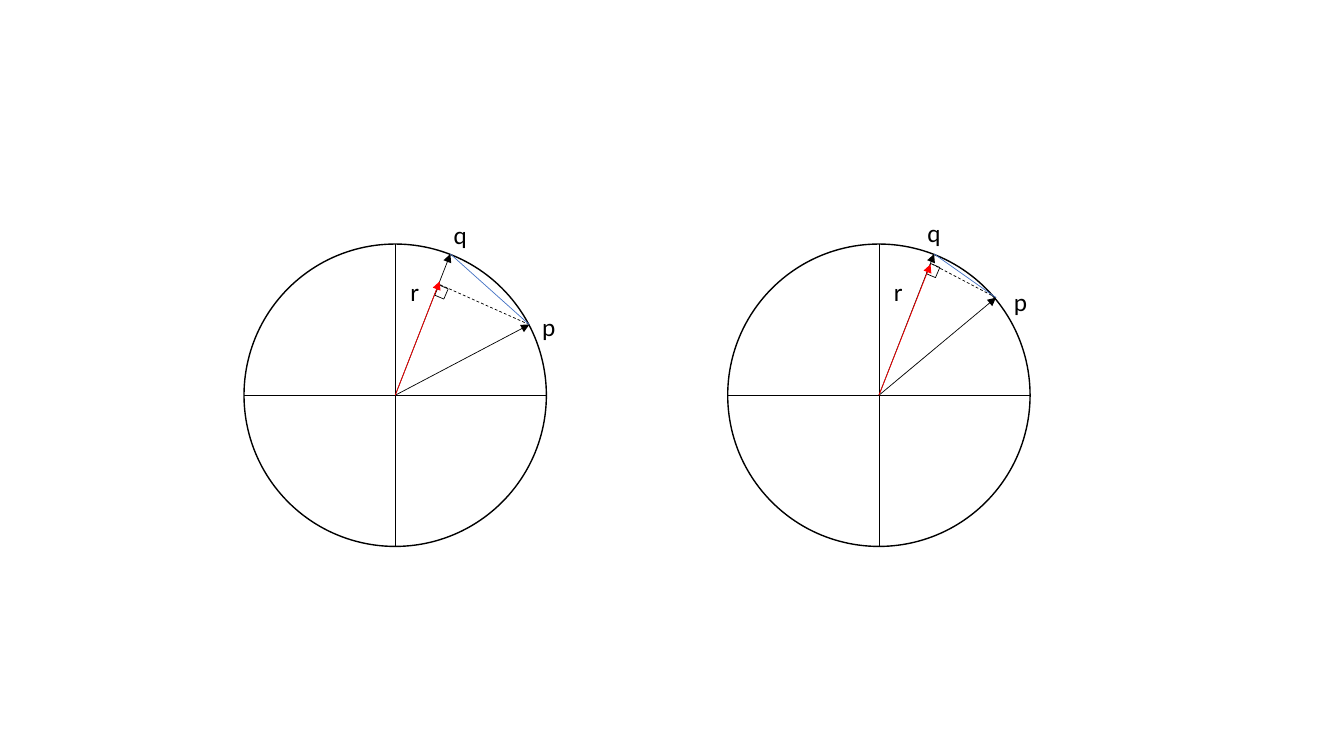
from pptx import Presentation
from pptx.dml.color import RGBColor
from pptx.enum.dml import MSO_LINE
from pptx.enum.shapes import MSO_CONNECTOR, MSO_SHAPE
from pptx.enum.text import MSO_AUTO_SIZE
from pptx.oxml.ns import qn
from pptx.util import Cm, Pt
from lxml.etree import SubElement

COLORS = {"ink": "000000", "red": "FF0000", "blue": "4472C4"}
RADIUS = 3.81
MID_Y = 9.96

# Points and label corners are offsets in cm from the centre of each circle.
CIRCLES = [
    {"x": 9.96, "q": (1.39, -3.56), "p": (3.38, -1.78), "r": (1.12, -2.87),
     "foot": (1.12, -2.79), "mark": (1.04, -2.74),
     "labels": {"q": (1.22, -4.55), "p": (3.45, -2.24), "r": (0.13, -3.12)}},
    {"x": 22.15, "q": (1.39, -3.56), "p": (2.95, -2.46), "r": (1.3, -3.3),
     "foot": (1.35, -3.3), "mark": (1.24, -3.28),
     "labels": {"q": (0.97, -4.6), "p": (3.15, -2.87), "r": (0.13, -3.12)}},
]
WIDTHS = {"q": 0.86, "p": 0.86, "r": 0.74}

deck = Presentation()
deck.slide_width, deck.slide_height = Cm(33.87), Cm(19.05)
slide = deck.slides.add_slide(deck.slide_layouts[6])
shapes = slide.shapes


def outline(kind, left, top, width, height, weight):
    """Add an unfilled shape with a black border."""
    shape = shapes.add_shape(kind, Cm(left), Cm(top), Cm(width), Cm(height))
    shape.shadow.inherit = False
    shape.fill.background()
    shape.line.color.rgb = RGBColor.from_string(COLORS["ink"])
    shape.line.width = Pt(weight)
    return shape


def segment(mid, start, end, color="ink", dash=None, arrow=False):
    """Add a line between two offsets from the circle's centre."""
    ends = [Cm(round(base + part, 2)) for point in (start, end)
            for base, part in zip((mid, MID_Y), point)]
    wire = shapes.add_connector(MSO_CONNECTOR.STRAIGHT, *ends)
    form = {"width": Pt(0.5), "dash_style": dash}
    for name, value in form.items():
        setattr(wire.line, name, value)
    wire.line.color.rgb = RGBColor.from_string(COLORS[color])
    props = wire._element.spPr
    if arrow:
        SubElement(props.find(qn("a:ln")), qn("a:tailEnd"), type="triangle")
    SubElement(props, qn("a:effectLst"))


for circle in CIRCLES:
    mid, q, p = circle["x"], circle["q"], circle["p"]
    dx, dy = circle["mark"]
    mark = outline(MSO_SHAPE.RECTANGLE, mid + dx, MID_Y + dy, 0.25, 0.28, 0.5)
    mark.rotation = 23.1
    outline(MSO_SHAPE.OVAL, mid - RADIUS, MID_Y - RADIUS,
            2 * RADIUS, 2 * RADIUS, 1)

    segment(mid, (0, -RADIUS), (0, RADIUS))
    segment(mid, (-RADIUS, 0), (RADIUS, 0))
    segment(mid, p, circle["foot"], dash=MSO_LINE.DASH)
    for tip, color in (("q", "ink"), ("p", "ink"), ("r", "red")):
        segment(mid, (0, 0), circle[tip], color, arrow=True)
    segment(mid, p, q, "blue")

    for text, (dx, dy) in circle["labels"].items():
        box = shapes.add_textbox(Cm(mid + dx), Cm(MID_Y + dy),
                                 Cm(WIDTHS[text]), Cm(1.02))
        frame = box.text_frame
        frame.word_wrap = False
        frame.auto_size = MSO_AUTO_SIZE.SHAPE_TO_FIT_TEXT
        run = frame.paragraphs[0].add_run()
        run.text = text
        for name, value in {"name": "Calibri", "size": Pt(18)}.items():
            setattr(run.font, name, value)
        run.font.color.rgb = RGBColor.from_string(COLORS["ink"])

deck.save("out.pptx")
